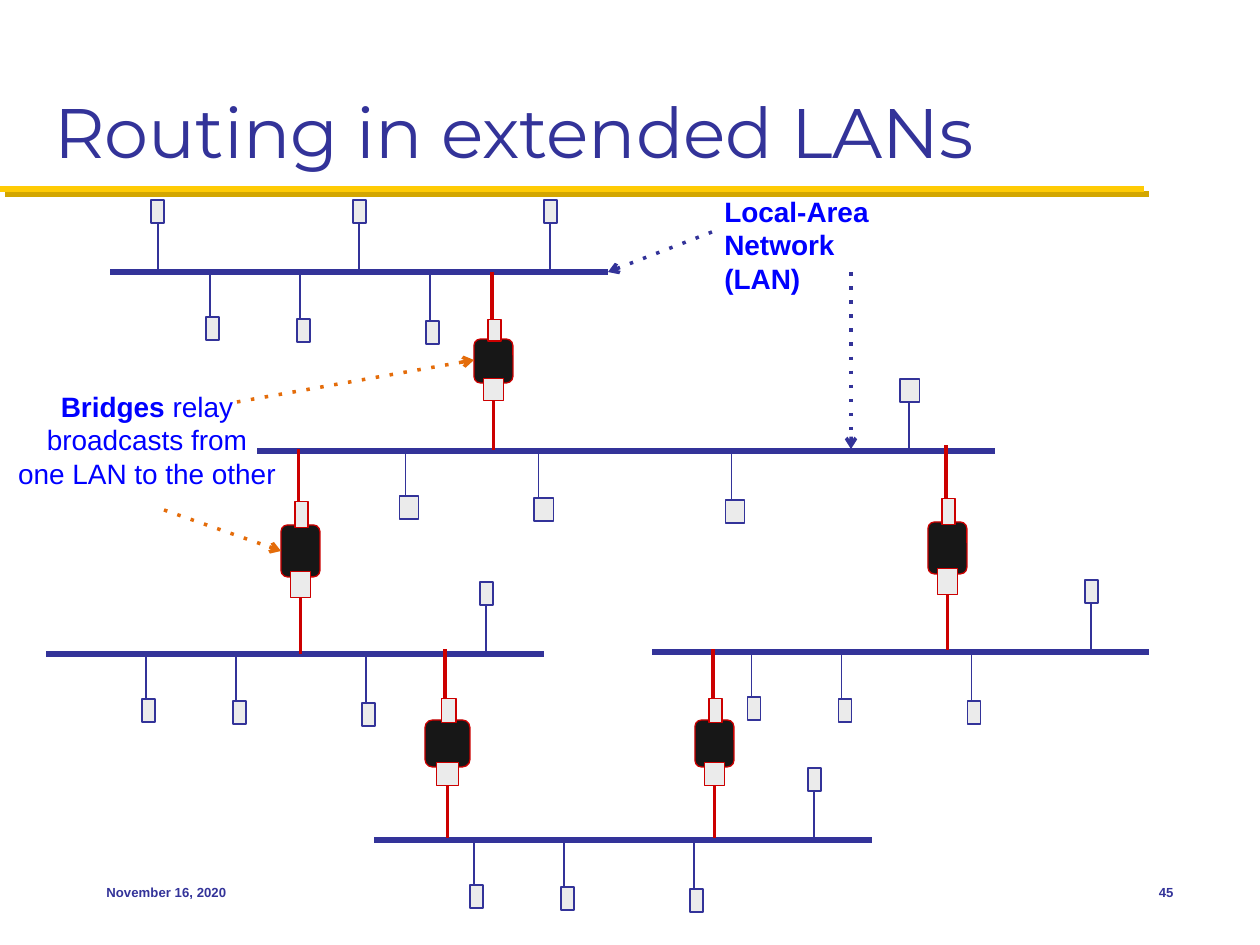
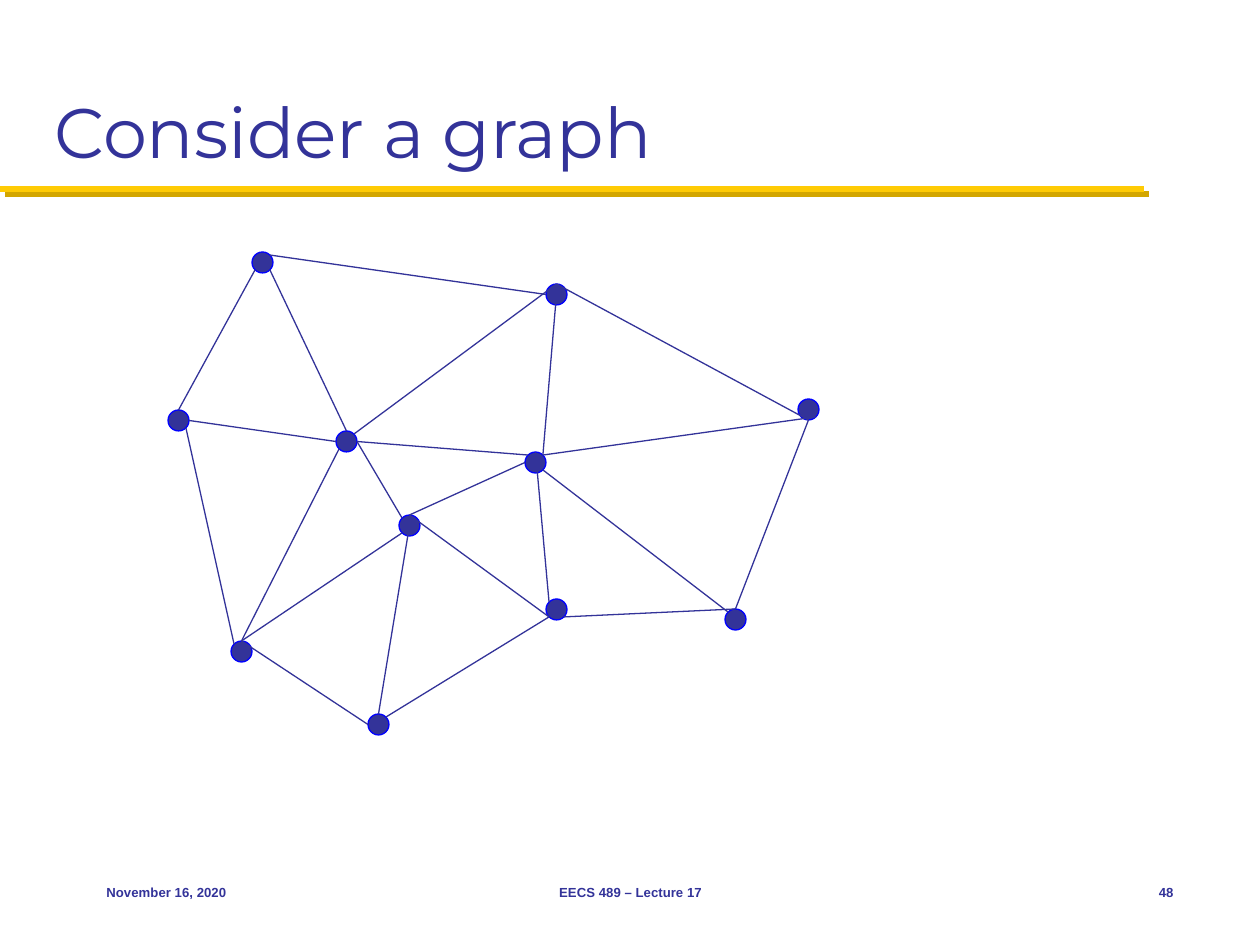
from math import cos, radians, sin

from lxml import etree
from pptx import Presentation
from pptx.dml.color import RGBColor
from pptx.enum.shapes import MSO_CONNECTOR, MSO_SHAPE
from pptx.enum.text import MSO_ANCHOR, PP_ALIGN
from pptx.oxml.ns import qn
from pptx.util import Emu, Pt

NAVY, BLUE, RED, ORANGE = "333399", "0000FF", "CC0000", "E46C0A"
GOLD, DARK_GOLD, PALE, BLACK = "FFCB05", "D3A600", "EBEBEB", "171717"
EMU_PER_PX = 914400 / 126
SLIDE_W, SLIDE_H = 1260, 945

DATE = "November 16, 2020"
COURSE = "EECS 489 – Lecture 17"

LAN_WIDTH = 498
HOST_W, HOST_H = 13, 23
HOSTS_BELOW = [(96, 100, 45), (187, 190, 47), (316, 320, 49)]
HOST_ABOVE = (434, 440)
LANS = [
    (110, 608, 272, [(41, 48), (243, 249)]),
    (257, 995, 451, []),
    (46, 544, 654, []),
    (652, 1149, 652, []),
    (374, 872, 840, []),
]
BRIDGES = [
    (474, 339, 39, 44, 272, 450),
    (281, 525, 39, 52, 449, 654),
    (425, 720, 45, 47, 649, 838),
    (928, 522, 39, 52, 445, 650),
    (695, 720, 39, 47, 649, 838),
]
CALLOUTS = [
    ((712, 188, 217, 90), PP_ALIGN.LEFT, [("Local-Area\nNetwork (LAN)", True)]),
    ((2, 383, 290, 115), PP_ALIGN.CENTER,
     [("Bridges", True), (" relay\nbroadcasts from\none LAN to the other", False)]),
]
POINTERS = [
    ((712, 232), (608, 272), NAVY),
    ((851, 272), (851, 449), NAVY),
    ((164, 510), (281, 551), ORANGE),
    ((237, 402), (474, 360), ORANGE),
]

NODE = 21
NODES = {
    "A": (252, 252), "B": (168, 410), "C": (546, 284), "D": (546, 599),
    "E": (368, 714), "F": (336, 431), "G": (798, 399), "H": (399, 515),
    "I": (231, 641), "J": (525, 452), "K": (725, 609),
}
COMPASS = ["E", "SE", "S", "SW", "W", "NW", "N", "NE"]
EDGES = """A.SE-F.N A.SW-B.N B.SE-I.NW F.E-H.NW J.SE-K.NW C.mid-J.NE C.N-G.S
G.S-K.N I.N-E.W H.N-D.SW K.N-D.SE J.N-D.NW H.mid-E.N F.E-J.NW B.E-F.W
I.N-H.SW E.NE-D.SW I.N-F.SW H.N-J.W J.NE-G.SE A.NE-C.W F.NE-C.N""".split()


def px(value):
    return Emu(round(value * EMU_PER_PX))


def color(hex_string):
    return RGBColor.from_string(hex_string)


def line(shapes, start, end, stroke, width):
    connector = shapes.add_connector(MSO_CONNECTOR.STRAIGHT, *map(px, (*start, *end)))
    connector.line.color.rgb = color(stroke)
    connector.line.width = Pt(width)
    etree.SubElement(connector._element.spPr, qn("a:effectLst"))
    return connector


def pointer(shapes, start, end, stroke):
    ln = line(shapes, start, end, stroke, 2).line._get_or_add_ln()
    etree.SubElement(ln, qn("a:prstDash"), val="dot")
    etree.SubElement(ln, qn("a:tailEnd"), type="arrow")


def shape(shapes, kind, box, fill, stroke):
    item = shapes.add_shape(kind, *map(px, box))
    item.shadow.inherit = False
    item.fill.solid()
    item.fill.fore_color.rgb = color(fill)
    item.line.color.rgb = color(stroke)
    item.line.width = Pt(0.75)


def text(slide, box, runs, size, ink, font="Arial", align=PP_ALIGN.LEFT,
         anchor=MSO_ANCHOR.TOP):
    frame = slide.shapes.add_textbox(*map(px, box)).text_frame
    frame.word_wrap = True
    frame.vertical_anchor = anchor
    paragraph = frame.paragraphs[0]
    paragraph.alignment = align
    for words, bold in runs:
        for i, part in enumerate(words.split("\n")):
            if i:
                paragraph.add_line_break()
            run = paragraph.add_run()
            run.text = part
            run.font.name = font
            run.font.size = Pt(size)
            run.font.bold = bold
            run.font.color.rgb = color(ink)


def title_rule(slide):
    rule = line(slide.shapes, (0, 189), (1144, 189), GOLD, 3.5)
    effects = rule._element.spPr.find(qn("a:effectLst"))
    shadow = etree.SubElement(effects, qn("a:outerShdw"), dist=str(Pt(4.2)),
                              dir="2700000", algn="ctr", rotWithShape="0")
    etree.SubElement(shadow, qn("a:srgbClr"), val=DARK_GOLD)


def new_slide(prs, title, number, course=""):
    slide = prs.slides.add_slide(prs.slide_layouts[6])
    title_rule(slide)
    text(slide, (42, 21, 1176, 158), [(title, False)], 40, NAVY, "Montserrat",
         anchor=MSO_ANCHOR.BOTTOM)
    footers = [(94, 262, DATE, PP_ALIGN.LEFT), (431, 399, course, PP_ALIGN.CENTER),
               (1102, 84, number, PP_ALIGN.RIGHT)]
    for left, width, words, align in footers:
        if words:
            text(slide, (left, 861, width, 63), [(words, True)], 7.5, NAVY,
                 align=align, anchor=MSO_ANCHOR.MIDDLE)
    return slide


def draw_lan(slide, left, right, y, extra_hosts):
    shapes = slide.shapes.add_group_shape().shapes
    stretch = (right - left) / LAN_WIDTH
    line(shapes, (right, y), (left, y), NAVY, 3)
    hosts = [(x, cable, drop, drop) for x, cable, drop in HOSTS_BELOW]
    hosts += [(x, cable, -72, -67) for x, cable in [HOST_ABOVE, *extra_hosts]]
    for x, cable, top, cable_end in hosts:
        cable_x = left + cable * stretch
        line(shapes, (cable_x, y + cable_end), (cable_x, y), NAVY, 0.75)
        shape(shapes, MSO_SHAPE.RECTANGLE,
              (left + x * stretch, y + top, HOST_W * stretch, HOST_H), PALE, NAVY)


def draw_bridge(slide, x, y, w, h, upper_bus, lower_bus):
    shapes = slide.shapes.add_group_shape().shapes
    plug_top = y - 0.45 * h
    shape(shapes, MSO_SHAPE.ROUNDED_RECTANGLE, (x, y, w, h), BLACK, RED)
    shape(shapes, MSO_SHAPE.RECTANGLE,
          (x + 0.36 * w, plug_top, w / 3, h / 2), PALE, RED)
    line(shapes, (x + 0.45 * w, plug_top), (x + 0.45 * w, upper_bus), RED, 2.25)
    line(shapes, (x + w / 2, y + h), (x + w / 2, lower_bus), RED, 2.25)
    shape(shapes, MSO_SHAPE.RECTANGLE,
          (x + 0.25 * w, y + 0.9 * h, w / 2, h / 2), PALE, RED)


def node_point(site):
    name, side = site.split(".")
    cx, cy = (edge + NODE / 2 for edge in NODES[name])
    if side == "mid":
        return cx, cy
    angle = radians(45 * COMPASS.index(side))
    return cx + NODE / 2 * cos(angle), cy + NODE / 2 * sin(angle)


prs = Presentation()
prs.slide_width, prs.slide_height = px(SLIDE_W), px(SLIDE_H)

lan_slide = new_slide(prs, "Routing in extended LANs", "45")
for lan in LANS:
    draw_lan(lan_slide, *lan)
for bridge in BRIDGES:
    draw_bridge(lan_slide, *bridge)
for box, align, runs in CALLOUTS:
    text(lan_slide, box, runs, 16, BLUE, align=align)
for start, end, stroke in POINTERS:
    pointer(lan_slide.shapes, start, end, stroke)

graph_slide = new_slide(prs, "Consider a graph", "48", COURSE)
graph = graph_slide.shapes.add_group_shape().shapes
for left, top in NODES.values():
    shape(graph, MSO_SHAPE.OVAL, (left, top, NODE, NODE), NAVY, BLUE)
for edge in EDGES:
    start, end = map(node_point, edge.split("-"))
    line(graph, start, end, NAVY, 0.75)

prs.save("out.pptx")
